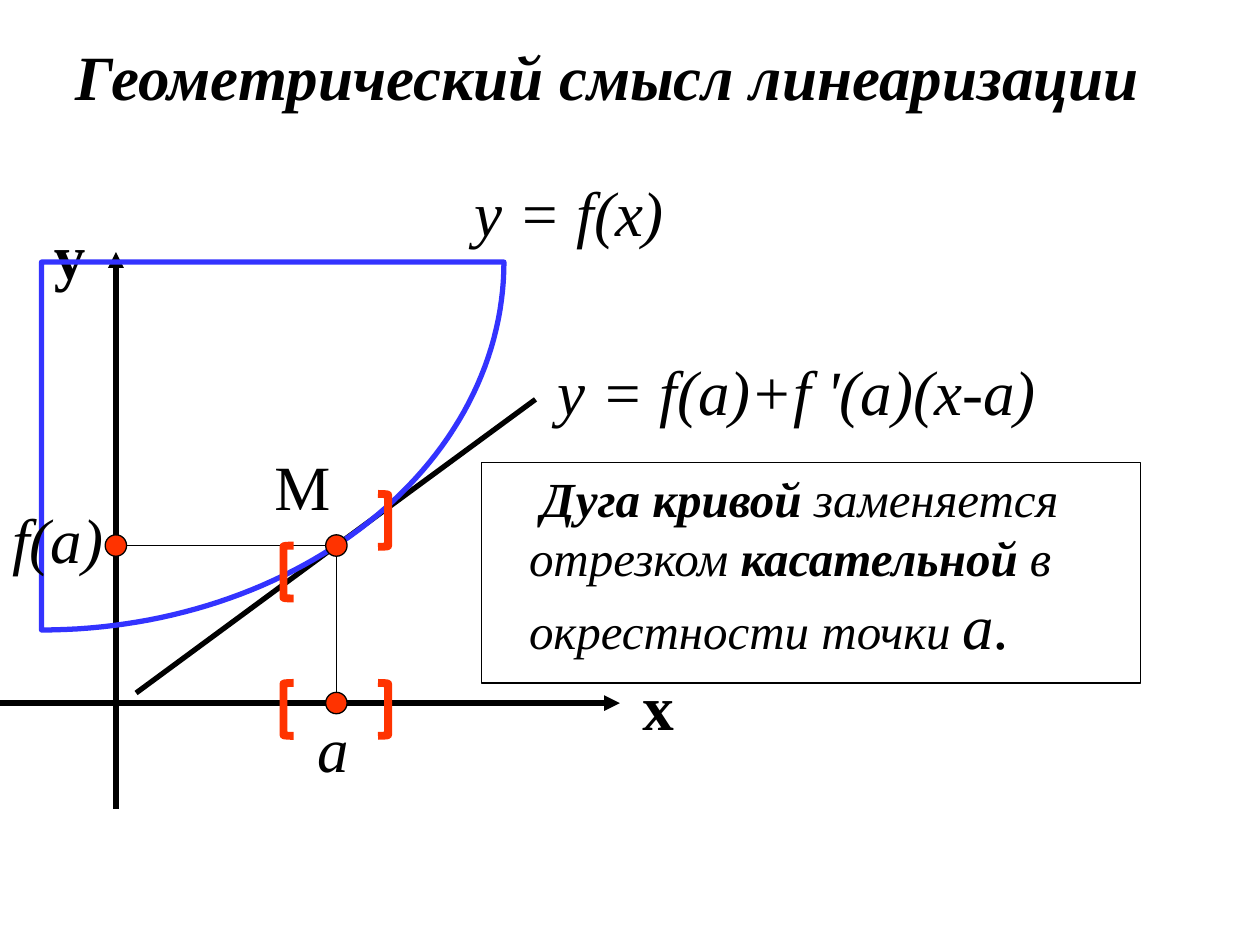
from math import cos, pi, sin

from lxml import etree
from pptx import Presentation
from pptx.dml.color import RGBColor
from pptx.enum.shapes import MSO_CONNECTOR as CONN, MSO_SHAPE as SHAPE
from pptx.oxml.ns import qn
from pptx.util import Inches, Pt

COLORS = {"black": "000000", "white": "FFFFFF", "curve": "3333FF", "mark": "FF3300"}
RGB = {name: RGBColor.from_string(code) for name, code in COLORS.items()}
FONT = "Times New Roman"

prs = Presentation()
prs.slide_width, prs.slide_height = Inches(10), Inches(7.5)
s = prs.slides.add_slide(prs.slide_layouts[6])


def add_text(text, x, y, w, h=0.7, size=36, bold=False, italic=False):
    """Text is a string, or a list of paragraphs made of (text, bold, size) runs."""
    tf = s.shapes.add_textbox(Inches(x), Inches(y), Inches(w), Inches(h)).text_frame
    tf.word_wrap = True
    paragraphs = [[(text, bold, size)]] if isinstance(text, str) else text
    for i, runs in enumerate(paragraphs):
        p = tf.add_paragraph() if i else tf.paragraphs[0]
        for run_text, run_bold, run_size in runs:
            r = p.add_run()
            r.text = run_text
            r.font.name, r.font.size = FONT, Pt(run_size)
            r.font.bold, r.font.italic = run_bold, italic
            r.font.color.rgb = RGB["black"]


def add_line(x1, y1, x2, y2, width=3, arrow=False):
    line = s.shapes.add_connector(CONN.STRAIGHT, Inches(x1), Inches(y1), Inches(x2), Inches(y2))
    line.line.color.rgb = RGB["black"]
    line.line.width = Pt(width)
    if arrow:
        etree.SubElement(line.line._get_or_add_ln(), qn("a:tailEnd"), type="triangle")
    etree.SubElement(line._element.spPr, qn("a:effectLst"))


# Title
add_text("Геометрический смысл линеаризации", 0.5, 0.25, 8.7, bold=True, italic=True)

# Boxed statement
box = s.shapes.add_shape(SHAPE.RECTANGLE, Inches(3.82), Inches(3.67), Inches(5.23), Inches(1.75))
box.shadow.inherit = False
box.fill.solid()
box.fill.fore_color.rgb = RGB["white"]
box.line.color.rgb = RGB["black"]
box.line.width = Pt(0.75)
add_text([
    [(" Дуга кривой", True, 28), (" заменяется", False, 28)],
    [("отрезком ", False, 28), ("касательной ", True, 28), ("в", False, 28)],
    [("окрестности точки ", False, 28), ("а.", False, 36)],
], 4.1, 3.67, 4.59, 1.65, italic=True)

# Tangent, in two halves that meet at M
axis_x, axis_y = 0.92, 5.58
mx, my = 2.67, 4.33
add_line(mx, my, 1.08, 5.5)
add_line(4.25, 3.17, mx, my)

# Axes
add_line(axis_x, 6.42, axis_x, 2, arrow=True)
add_line(0, axis_y, 4.92, axis_y, arrow=True)
add_text("x", 5, 5.25, 0.5, bold=True)
add_text("y", 0.33, 1.67, 0.5, bold=True)

# Curve: quarter of an ellipse, closed through its centre
cx, cy, rx, ry = 0.33, 2.08, 3.67, 2.92
steps = 60
angles = [pi / 2 * i / steps for i in range(steps + 1)]
arc = [(Inches(cx + rx * sin(t)), Inches(cy + ry * cos(t))) for t in angles]
outline = s.shapes.build_freeform(*arc[0], scale=1.0)
outline.add_line_segments(arc[1:] + [(Inches(cx), Inches(cy))], close=True)
curve = outline.convert_to_shape()
curve.shadow.inherit = False
curve.fill.background()
curve.line.color.rgb = RGB["curve"]
curve.line.width = Pt(3)
etree.SubElement(curve.line._get_or_add_ln(), qn("a:round"))
add_text("y = f(x)", 3.67, 1.33, 2.67, italic=True)

# Projections of M on the axes
add_line(mx, 4.42, mx, axis_y, width=0.75)
add_line(2.58, my, axis_x, my, width=0.75)
add_text("a", 2.42, 5.58, 0.67, italic=True)
add_text("f(a)", 0, 3.92, 2.67, italic=True)

# Points
d = 0.17
for x, y in [(mx, my), (mx, axis_y), (axis_x, my)]:
    dot = s.shapes.add_shape(SHAPE.OVAL, Inches(x - d / 2), Inches(y - d / 2), Inches(d), Inches(d))
    dot.shadow.inherit = False
    dot.fill.solid()
    dot.fill.fore_color.rgb = RGB["mark"]
    dot.line.color.rgb = RGB["black"]
    dot.line.width = Pt(0.75)

# Labels of M and the tangent
add_text("M", 2.08, 3.5, 0.5)
add_text("y = f(a)+f '(a)(x-a)", 4.33, 2.75, 5.08, italic=True)

# Brackets around the neighbourhood of a, on the axis and on the curve
for left_y, right_y in [(5.42, 5.42), (4.33, 3.92)]:
    for kind, x, y in [(SHAPE.LEFT_BRACKET, 2.25, left_y), (SHAPE.RIGHT_BRACKET, 3, right_y)]:
        sp = s.shapes.add_shape(kind, Inches(x), Inches(y), Inches(0.08), Inches(0.42))
        sp.adjustments[0] = 0.08
        sp.shadow.inherit = False
        sp.fill.background()
        sp.line.color.rgb = RGB["mark"]
        sp.line.width = Pt(4.5)

prs.save("out.pptx")
